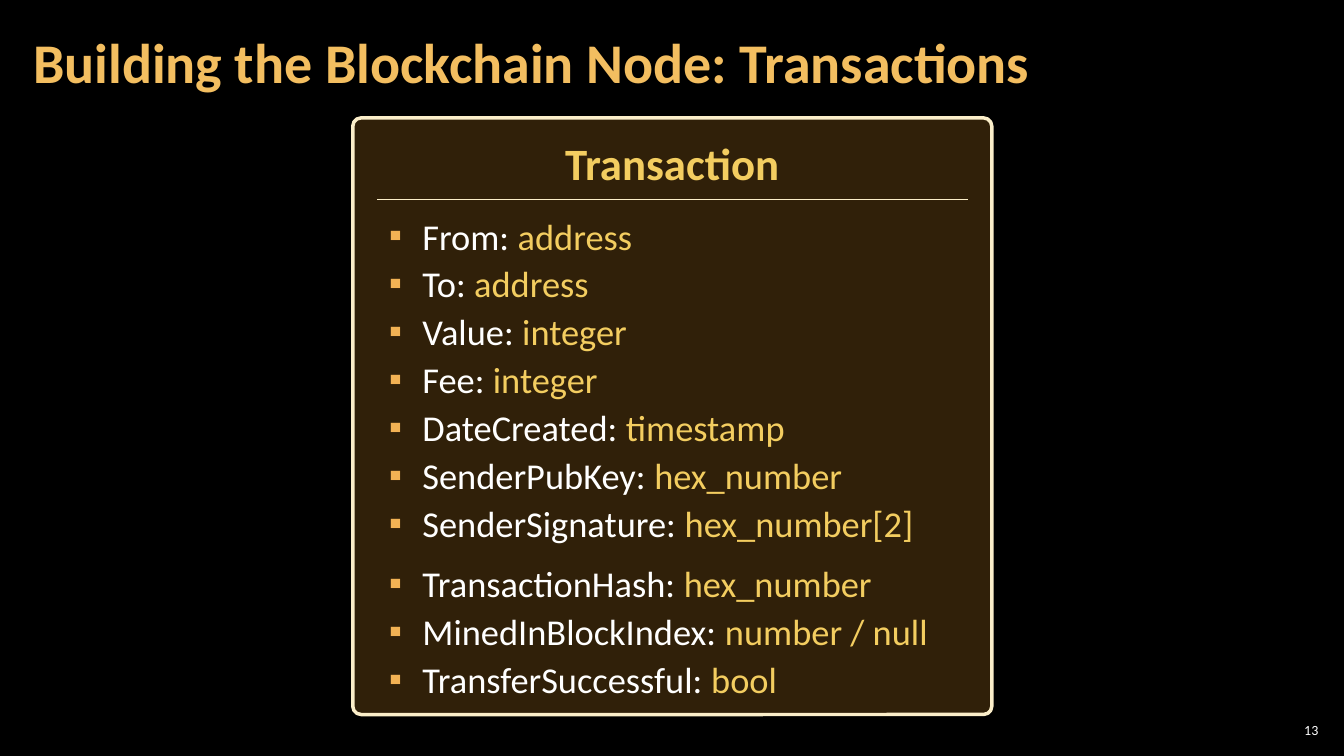
from lxml.etree import SubElement
from pptx import Presentation
from pptx.dml.color import RGBColor
from pptx.enum.shapes import MSO_CONNECTOR, MSO_SHAPE
from pptx.enum.text import MSO_ANCHOR, MSO_AUTO_SIZE, PP_ALIGN
from pptx.oxml.ns import qn
from pptx.util import Pt

TITLE = "Building the Blockchain Node: Transactions"
HEAD = "Transaction"
PAGE = "13"
GROUPS = [
    [
        ("From", "address"),
        ("To", "address"),
        ("Value", "integer"),
        ("Fee", "integer"),
        ("DateCreated", "timestamp"),
        ("SenderPubKey", "hex_number"),
        ("SenderSignature", "hex_number[2]"),
    ],
    [
        ("TransactionHash", "hex_number"),
        ("MinedInBlockIndex", "number / null"),
        ("TransferSuccessful", "bool"),
    ],
]

FONT = "Calibri"
BLACK = RGBColor(0x00, 0x00, 0x00)
WHITE = RGBColor(0xFF, 0xFF, 0xFF)
ORANGE = RGBColor(0xF3, 0xBE, 0x60)
GOLD = RGBColor(0xF3, 0xCD, 0x60)
CREAM = RGBColor(0xFB, 0xEE, 0xC9)
AMBER = RGBColor(0xF0, 0xA2, 0x2E)
MARK = RGBColor(0xF2, 0xB2, 0x54)

WIDE, HIGH = 960, 540
CARD = (252, 84.2, 456.5, 426.2)
INSET = 17.3
RULE_Y = 142.6
INDENT = 23.8


def place(shape, left, top, width, height):
    """Move and size a shape, in points."""
    shape.left, shape.top = Pt(left), Pt(top)
    shape.width, shape.height = Pt(width), Pt(height)


def setup(shape, anchor, side=7.2, edge=3.6):
    """Set how a shape holds its text."""
    frame = shape.text_frame
    frame.word_wrap = True
    frame.auto_size = MSO_AUTO_SIZE.NONE
    frame.vertical_anchor = anchor
    frame.margin_left = frame.margin_right = Pt(side)
    frame.margin_top = frame.margin_bottom = Pt(edge)
    return frame


def write(para, text, size, color, bold=False, align=PP_ALIGN.LEFT, space=1.0):
    """Add a run of formatted text to a paragraph."""
    para.alignment = align
    para.line_spacing = space
    run = para.add_run()
    run.text = text
    font = run.font
    font.name, font.size, font.bold = FONT, Pt(size), bold
    font.color.rgb = color


def bullet(para):
    """Give a paragraph a square bullet and a hanging indent."""
    props = para._p.get_or_add_pPr()
    props.set("marL", str(Pt(INDENT)))
    props.set("indent", str(-Pt(INDENT)))
    tint = SubElement(props, qn("a:buClr"))
    SubElement(tint, qn("a:srgbClr")).set("val", str(MARK))
    SubElement(props, qn("a:buFont")).set("typeface", FONT)
    SubElement(props, qn("a:buChar")).set("char", "▪")


def add_card(slide):
    """Draw the card with its heading and rule."""
    left, top, width, height = CARD
    card = slide.shapes.add_shape(
        MSO_SHAPE.ROUNDED_RECTANGLE, *(Pt(n) for n in CARD))
    card.adjustments[0] = 0.014
    card.shadow.inherit = False
    card.fill.solid()
    card.fill.fore_color.rgb = AMBER
    tint = card._element.spPr.find(qn("a:solidFill"))[0]
    SubElement(tint, qn("a:alpha")).set("val", "20000")
    card.line.color.rgb = CREAM
    card.line.width = Pt(2.5)
    frame = setup(card, MSO_ANCHOR.TOP)
    write(frame.paragraphs[0], HEAD, 32, GOLD, bold=True,
          align=PP_ALIGN.CENTER, space=1.2)
    rule = slide.shapes.add_connector(
        MSO_CONNECTOR.STRAIGHT, Pt(left + INSET), Pt(RULE_Y),
        Pt(left + width - INSET), Pt(RULE_Y))
    rule.line.color.rgb = CREAM
    rule.line.width = Pt(1)
    SubElement(rule._element.spPr, qn("a:effectLst"))


def add_list(body):
    """Fill the body with the fields, a wider gap between groups."""
    place(body, 270.7, 149, 432.7, 358.6)
    frame = setup(body, MSO_ANCHOR.TOP)
    para = frame.paragraphs[0]
    for block, group in enumerate(GROUPS):
        for row, (name, kind) in enumerate(group):
            if block or row:
                para = frame.add_paragraph()
            write(para, f"{name}: ", 26, WHITE)
            write(para, kind, 26, GOLD)
            para.space_before = Pt(12 if block and not row else 3)
            para.space_after = Pt(0)
            bullet(para)


deck = Presentation()
deck.slide_width, deck.slide_height = Pt(WIDE), Pt(HIGH)
slide = deck.slides.add_slide(deck.slide_layouts[1])
slide.background.fill.solid()
slide.background.fill.fore_color.rgb = BLACK

title, body = slide.placeholders
place(title, 15.1, 2.9, 753.8, 87.1)
frame = setup(title, MSO_ANCHOR.MIDDLE, side=8.64, edge=2.9)
write(frame.paragraphs[0], TITLE, 40, ORANGE, bold=True, space=0.9)

add_card(slide)
add_list(body)
# Bring the list in front of the card.
slide.shapes._spTree.append(body._element)

page = slide.shapes.add_textbox(Pt(910.8), Pt(514.1), Pt(33.8), Pt(15.1))
frame = setup(page, MSO_ANCHOR.MIDDLE, side=2.9, edge=2.9)
write(frame.paragraphs[0], PAGE, 10, WHITE, align=PP_ALIGN.RIGHT)

deck.save("out.pptx")
